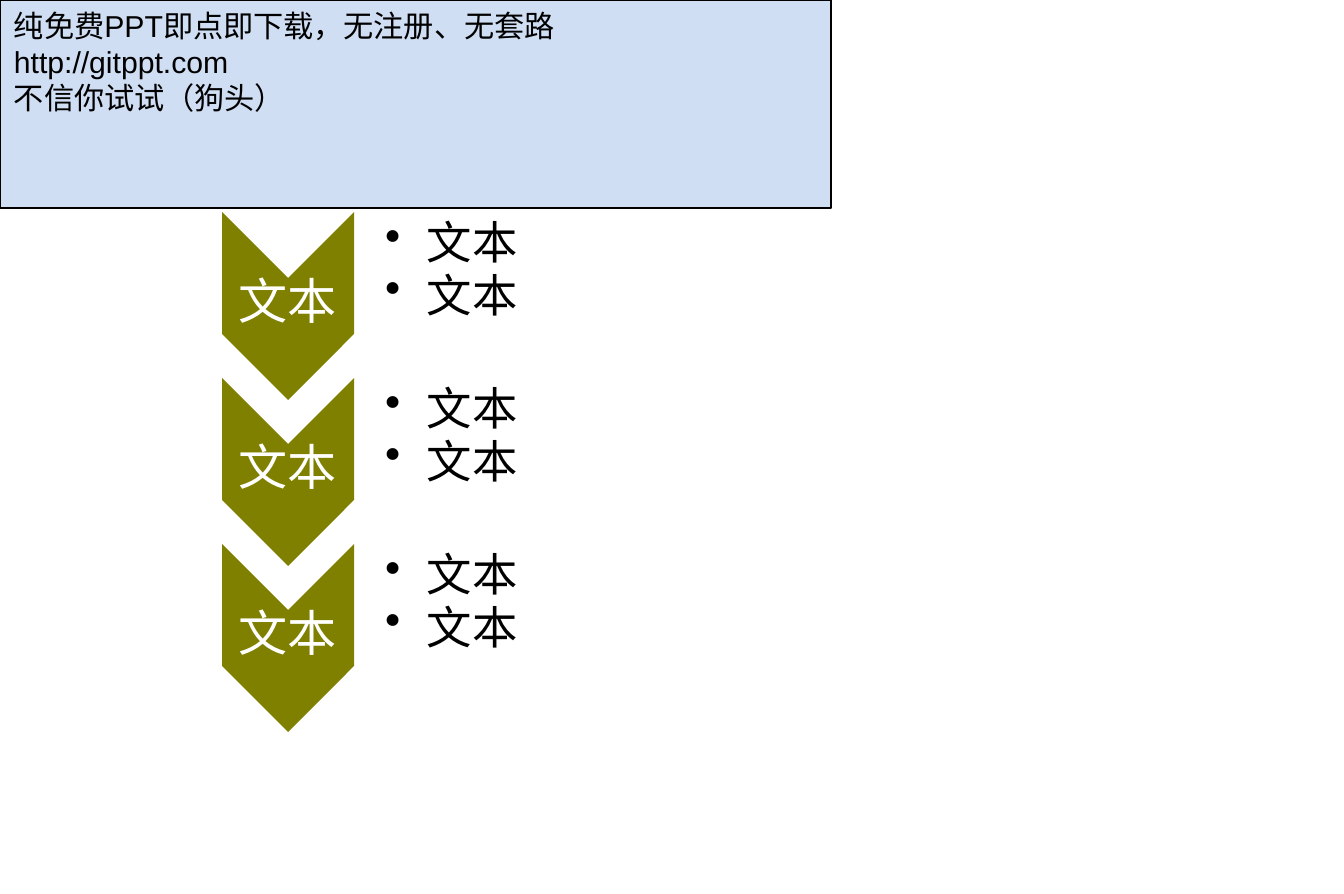
from lxml import etree
from pptx import Presentation
from pptx.enum import shapes, text
from pptx.oxml import ns
from pptx.util import Emu, Pt
from pptx.dml.color import RGBColor

PX = 914400 // 136
HUES = {"olive": "808000", "sky": "CFDEF3", "ink": "000000", "white": "FFFFFF"}
SANS = "Noto Sans CJK SC"


def px(*sizes):
    return [Emu(n * PX) for n in sizes]


def write(shape, lines, pads, font, size, hue, lead=1.0, after=0, bullet=False):
    """Fill a shape with paragraphs of one style; pads run left, top, right, bottom."""
    frame = shape.text_frame
    frame.word_wrap = True
    (frame.margin_left, frame.margin_top,
     frame.margin_right, frame.margin_bottom) = px(*pads)
    for i, line in enumerate(lines):
        para = frame.add_paragraph() if i else frame.paragraphs[0]
        para.text = line
        para.alignment = text.PP_ALIGN.LEFT
        para.line_spacing = lead
        para.space_after = Pt(after)
        if bullet:
            para.level = 1
            props = para._p.get_or_add_pPr()
            props.set("marL", str(42 * PX))
            props.set("indent", str(-42 * PX))
            tint = etree.SubElement(props, ns.qn("a:buClr"))
            etree.SubElement(tint, ns.qn("a:srgbClr"), val=HUES["ink"])
            etree.SubElement(props, ns.qn("a:buChar"), char="•")
        para.font.name = font
        para.font.size = Pt(size)
        para.font.color.rgb = RGBColor.from_string(HUES[hue])
    return frame


deck = Presentation()
deck.slide_width, deck.slide_height = px(1344, 894)
slide = deck.slides.add_slide(deck.slide_layouts[6])
page = slide.shapes

steps = [("文本", ["文本", "文本"])] * 3
for row, (name, points) in enumerate(steps):
    top = 212 + 166 * row

    arrow = page.add_shape(shapes.MSO_SHAPE.CHEVRON, *px(194, top + 28, 188, 132))
    arrow.rotation = 90
    arrow.adjustments[0] = 0.5
    arrow.shadow.inherit = False
    arrow.fill.solid()
    arrow.fill.fore_color.rgb = RGBColor.from_string(HUES["olive"])
    arrow.line.fill.background()

    label = page.add_textbox(*px(222, top + 65, 132, 57))
    frame = write(label, [name], (3, 3, 3, 3), SANS, 26, "white", 0.8, 11.4)
    frame.vertical_anchor = text.MSO_ANCHOR.MIDDLE
    frame.paragraphs[0].alignment = text.PP_ALIGN.CENTER

    detail = page.add_textbox(*px(355, top + 6, 811, 110))
    frame = write(detail, points, (30, 3, 3, 3), SANS, 24, "ink", 0.8, 4.5, True)
    frame.vertical_anchor = text.MSO_ANCHOR.MIDDLE

banner = page.add_shape(shapes.MSO_SHAPE.RECTANGLE, *px(0, 0, 831, 208))
banner.shadow.inherit = False
banner.fill.solid()
banner.fill.fore_color.rgb = RGBColor.from_string(HUES["sky"])
banner.line.color.rgb = RGBColor.from_string(HUES["ink"])
banner.line.width = Pt(0.75)
notice = ["纯免费PPT即点即下载，无注册、无套路", "http://gitppt.com", "不信你试试（狗头）"]
frame = write(banner, notice, (14, 7, 14, 7), "Arial", 16, "ink")
frame.vertical_anchor = text.MSO_ANCHOR.TOP

deck.save("out.pptx")
